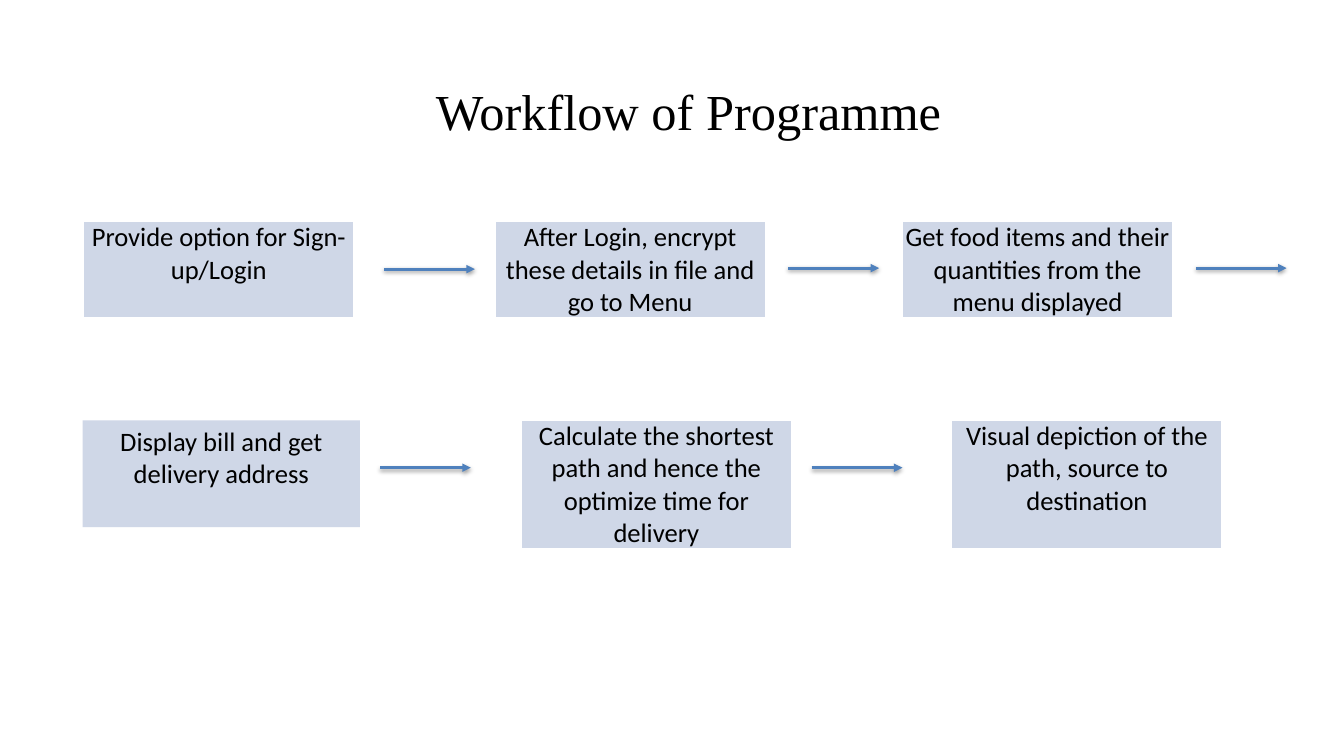
import pptx
import pptx.util
import pptx.dml.color
import pptx.enum.shapes
import pptx.enum.text
import pptx.oxml
import pptx.oxml.ns
from dataclasses import dataclass

Inches = pptx.util.Inches
A_NS = pptx.oxml.ns.nsdecls("a")


@dataclass(frozen=True)
class Theme:
    text: str = "000000"
    box: str = "CFD7E7"
    border: str = "FFFFFF"
    arrow: str = "4F81BD"
    title_font: str = "Times New Roman"
    body_font: str = "Calibri"
    title_size: int = 36
    body_size: int = 19


THEME = Theme()

# Steps drawn as one-cell tables: left, top, height, text
STEP_WIDTH = 2.68
STEPS = [
    (0.83, 2.2, 0.95, "Provide option for Sign-up/Login"),
    (4.91, 2.2, 0.95, "After Login, encrypt these details in file and go to Menu"),
    (8.95, 2.2, 0.95, "Get food items and their quantities from the menu displayed"),
    (5.17, 4.17, 1.27, "Calculate the shortest path and hence the optimize time for delivery"),
    (9.44, 4.17, 1.27, "Visual depiction of the path, source to destination"),
]

# Arrows: left, y
ARROW_LENGTH = 0.9
ARROWS = [(3.81, 2.67), (7.82, 2.66), (11.86, 2.66), (3.77, 4.64), (8.05, 4.64)]


def rgb(value):
    return pptx.dml.color.RGBColor.from_string(value)


def write(tf, text, font=THEME.body_font, size=THEME.body_size, inset=0.05,
          anchor=pptx.enum.text.MSO_ANCHOR.TOP):
    tf.word_wrap = True
    tf.vertical_anchor = anchor
    tf.margin_left = tf.margin_right = Inches(inset)
    tf.margin_top = tf.margin_bottom = Inches(inset)
    fill_paragraph(tf.paragraphs[0], text, font, size)


def fill_paragraph(p, text, font=THEME.body_font, size=THEME.body_size):
    p.alignment = pptx.enum.text.PP_ALIGN.CENTER
    r = p.add_run()
    r.text = text
    r.font.name = font
    r.font.size = pptx.util.Pt(size)
    r.font.color.rgb = rgb(THEME.text)


def add_title(s, text):
    sp = s.shapes.add_textbox(Inches(0.83), Inches(0.47), Inches(12), Inches(1.25))
    write(sp.text_frame, text, font=THEME.title_font, size=THEME.title_size,
          anchor=pptx.enum.text.MSO_ANCHOR.MIDDLE)


def add_step_table(s, left, top, height, text):
    table = s.shapes.add_table(1, 1, Inches(left), Inches(top),
                               Inches(STEP_WIDTH), Inches(height)).table
    table.first_row = table.horz_banding = False
    cell = table.cell(0, 0)
    cell.margin_left = cell.margin_right = cell.margin_top = cell.margin_bottom = 0
    fill_paragraph(cell.text_frame.paragraphs[0], text)
    # Borders come before the fill in the cell properties
    tc_pr = cell._tc.get_or_add_tcPr()
    for side in ("lnL", "lnR", "lnT", "lnB"):
        tc_pr.append(pptx.oxml.parse_xml(
            f'<a:{side} {A_NS} w="12700"><a:solidFill>'
            f'<a:srgbClr val="{THEME.border}"/></a:solidFill></a:{side}>'))
    cell.fill.solid()
    cell.fill.fore_color.rgb = rgb(THEME.box)


def add_step_box(s, left, top, width, height, text):
    sp = s.shapes.add_shape(pptx.enum.shapes.MSO_SHAPE.RECTANGLE, Inches(left),
                            Inches(top), Inches(width), Inches(height))
    sp.shadow.inherit = False
    sp.fill.solid()
    sp.fill.fore_color.rgb = rgb(THEME.box)
    sp.line.fill.background()
    write(sp.text_frame, text)
    return sp


def add_arrow(s, left, y):
    cx = s.shapes.add_connector(pptx.enum.shapes.MSO_CONNECTOR.STRAIGHT, Inches(left),
                                Inches(y), Inches(left + ARROW_LENGTH), Inches(y))
    cx.line.color.rgb = rgb(THEME.arrow)
    cx.line.width = pptx.util.Pt(2)
    cx.line._get_or_add_ln().append(
        pptx.oxml.parse_xml(f'<a:tailEnd {A_NS} type="triangle"/>'))
    # Soft shadow straight below the line
    cx._element.spPr.append(pptx.oxml.parse_xml(
        f'<a:effectLst {A_NS}><a:outerShdw blurRad="38100" dist="20320" dir="5400000" '
        f'rotWithShape="0"><a:srgbClr val="000000"><a:alpha val="38000"/></a:srgbClr>'
        f'</a:outerShdw></a:effectLst>'))


def main():
    prs = pptx.Presentation()
    prs.slide_width, prs.slide_height = Inches(13.33), Inches(7.5)
    s = prs.slides.add_slide(prs.slide_layouts[6])

    add_title(s, "Workflow of Programme")
    for step in STEPS:
        add_step_table(s, *step)
    for arrow in ARROWS:
        add_arrow(s, *arrow)
    add_step_box(s, 0.82, 4.17, 2.75, 1.06, "Display bill and get delivery address")

    prs.save("out.pptx")


if __name__ == "__main__":
    main()
